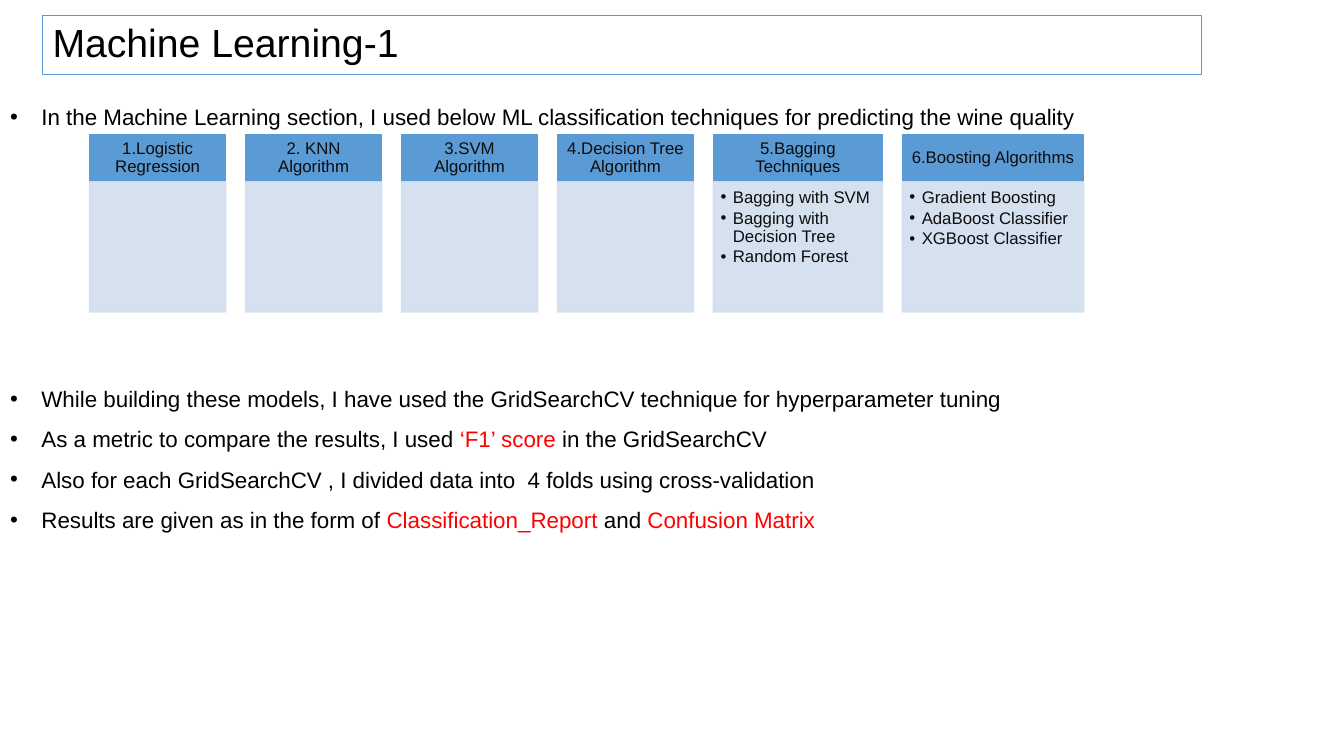
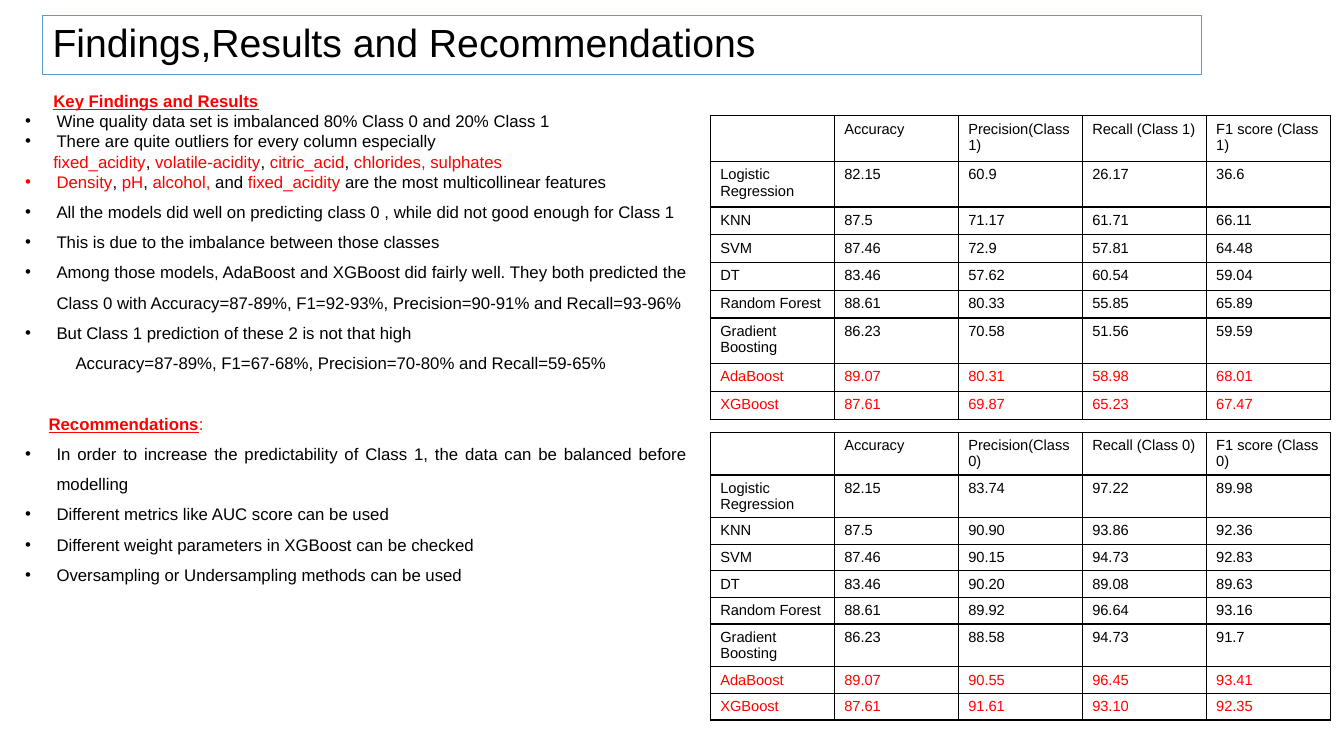
"""Builds two slides on wine-quality classifiers: the methods used, then findings and scores."""
from lxml import etree
from pptx import Presentation
from pptx.dml.color import RGBColor
from pptx.enum.shapes import MSO_SHAPE
from pptx.enum.text import MSO_ANCHOR, MSO_AUTO_SIZE, PP_ALIGN
from pptx.oxml.ns import qn
from pptx.util import Cm, Pt

RECTANGLE = MSO_SHAPE.RECTANGLE
TOP, MIDDLE = MSO_ANCHOR.TOP, MSO_ANCHOR.MIDDLE
LEFT, CENTER, JUSTIFY = PP_ALIGN.LEFT, PP_ALIGN.CENTER, PP_ALIGN.JUSTIFY
FIXED = MSO_AUTO_SIZE.NONE

FONT = "Arial"
COLORS = {"black": "000000", "red": "FF0000", "blue": "5B9BD5", "pale": "D2DEEF", "ink": "0D0D0D"}
TITLE_AREA = (1.07, 0.38, 29.21, 1.5)
HANG = 0.79

LINE_KINDS = {
    "heading": {"margin": 0.71, "bullet": False, "lines": 1, "align": LEFT},
    "tight": {"margin": HANG, "bullet": True, "lines": 1, "align": LEFT},
    "follow": {"margin": 0.71, "bullet": False, "lines": 1, "align": LEFT},
    "item": {"margin": HANG, "bullet": True, "lines": 1.5, "align": JUSTIFY},
    "detail": {"margin": 1.27, "bullet": False, "lines": 1.5, "align": JUSTIFY},
    "section": {"margin": 0.59, "bullet": False, "lines": 1.5, "align": JUSTIFY},
}

METHOD_LINES = [
    ("item", 0, ["In the Machine Learning section, I used below ML classification techniques "
                 "for predicting the wine quality"]),
    ("item", 6, ["While building these models, I have used the GridSearchCV technique "
                 "for hyperparameter tuning"]),
    ("item", 0, ["As a metric to compare the results, I used ", ("‘F1’ score ", "red"),
                 "in the GridSearchCV"]),
    ("item", 0, ["Also for each GridSearchCV , I divided data into  4 folds using cross-validation"]),
    ("item", 0, ["Results are given as in the form of ", ("Classification_Report ", "red"),
                 "and", (" Confusion Matrix", "red")]),
]

CARDS = [
    ("1.Logistic Regression", 3.43, []),
    ("2. KNN Algorithm", 3.43, []),
    ("3.SVM Algorithm", 3.43, []),
    ("4.Decision Tree Algorithm", 3.43, []),
    ("5.Bagging Techniques", 4.26, ["Bagging with SVM", "Bagging with Decision Tree", "Random Forest"]),
    ("6.Boosting Algorithms", 4.57, ["Gradient Boosting", "AdaBoost Classifier", "XGBoost Classifier"]),
]

FINDING_LINES = [
    ("heading", 0, [("Key Findings and Results", "strong")]),
    ("tight", 0, ["Wine quality data set is imbalanced 80% Class 0 and 20% Class 1"]),
    ("tight", 0, ["There are quite outliers for every column especially"]),
    ("follow", 0, [("fixed_acidity", "red"), ", ", ("volatile-acidity", "red"), ", ",
                   ("citric_acid", "red"), ", ", ("chlorides, sulphates", "red")]),
    ("tight", 0, [("Density", "red"), ", ", ("pH", "red"), ", ", ("alcohol,", "red"), " and ",
                  ("fixed_acidity ", "red"), "are the most multicollinear features"]),
    ("item", 0, ["All the models did well on predicting class 0 , while did not good enough for Class 1"]),
    ("item", 0, ["This is due to the imbalance between those classes"]),
    ("item", 0, ["Among those models, AdaBoost and XGBoost did fairly well. They both predicted the "
                 "Class 0 with Accuracy=87-89%, F1=92-93%, Precision=90-91% and Recall=93-96%"]),
    ("item", 0, ["But Class 1 prediction of these 2 is not that high"]),
    ("detail", 0, ["Accuracy=87-89%, F1=67-68%, Precision=70-80% and Recall=59-65%"]),
    ("section", 1, [("Recommendations", "strong"), (":", "red")]),
    ("item", 0, ["In order to increase the predictability of Class 1, the data can be balanced "
                 "before modelling"]),
    ("item", 0, ["Different metrics like AUC score can be used"]),
    ("item", 0, ["Different weight parameters in XGBoost can be checked"]),
    ("item", 0, ["Oversampling or Undersampling methods can be used"]),
]

MODELS = [
    ("Logistic Regression", "82.15"), ("KNN", "87.5"), ("SVM", "87.46"), ("DT", "83.46"),
    ("Random Forest", "88.61"), ("Gradient Boosting", "86.23"), ("AdaBoost", "89.07"), ("XGBoost", "87.61"),
]
BEST_MODELS = {"AdaBoost", "XGBoost"}
TWO_LINE_ROWS = {"", "Logistic Regression", "Gradient Boosting"}
SCORE_TABLES = [
    {"class": 1, "top": 2.92, "row": 0.7, "tall_row": 1.15, "scores": [
        ("60.9", "26.17", "36.6"), ("71.17", "61.71", "66.11"), ("72.9", "57.81", "64.48"),
        ("57.62", "60.54", "59.04"), ("80.33", "55.85", "65.89"), ("70.58", "51.56", "59.59"),
        ("80.31", "58.98", "68.01"), ("69.87", "65.23", "67.47")]},
    {"class": 0, "top": 10.89, "row": 0.67, "tall_row": 1.07, "scores": [
        ("83.74", "97.22", "89.98"), ("90.90", "93.86", "92.36"), ("90.15", "94.73", "92.83"),
        ("90.20", "89.08", "89.63"), ("89.92", "96.64", "93.16"), ("88.58", "94.73", "91.7"),
        ("90.55", "96.45", "93.41"), ("91.61", "93.10", "92.35")]},
]


def rgb(name):
    return RGBColor.from_string(COLORS[name])


def place(shape, left, top, width, height):
    shape.left, shape.top, shape.width, shape.height = Cm(left), Cm(top), Cm(width), Cm(height)


def format_span(span, size, color="black", strong=False):
    span.font.name, span.font.size = FONT, Pt(size)
    span.font.color.rgb = rgb(color)
    span.font.bold = span.font.underline = strong


def set_bullet(para, margin, hang, bullet):
    properties = para._p.get_or_add_pPr()
    properties.set("marL", str(Cm(margin)))
    properties.set("indent", str(-Cm(hang) if bullet else 0))
    if bullet:
        etree.SubElement(properties, qn("a:buFont"), typeface=FONT)
        etree.SubElement(properties, qn("a:buChar"), char="•")
    else:
        etree.SubElement(properties, qn("a:buNone"))


def add_titled_slide(deck, title):
    slide = deck.slides.add_slide(deck.slide_layouts[1])
    shape = slide.shapes.title
    place(shape, *TITLE_AREA)
    shape.line.color.rgb, shape.line.width = rgb("blue"), Pt(0.75)
    frame = shape.text_frame
    frame.text = title
    frame.auto_size, frame.vertical_anchor = FIXED, MIDDLE
    para = frame.paragraphs[0]
    para.alignment, para.line_spacing = LEFT, 0.9
    format_span(para.runs[0], 28)
    return slide


def fill_body(slide, area, lines, size):
    body = slide.placeholders[1]
    place(body, *area)
    frame = body.text_frame
    frame.auto_size, frame.vertical_anchor = FIXED, TOP
    for index, (kind, skipped, parts) in enumerate(lines):
        para = frame.paragraphs[0] if index == 0 else frame.add_paragraph()
        look = LINE_KINDS[kind]
        pitch = size * 1.2 * look["lines"]
        para.alignment, para.line_spacing = look["align"], Pt(pitch)
        para.space_before, para.space_after = Pt(pitch * skipped), Pt(0)
        set_bullet(para, look["margin"], HANG, look["bullet"])
        for part in parts:
            text, style = (part, "black") if isinstance(part, str) else part
            span = para.add_run()
            span.text = text
            strong = style == "strong"
            format_span(span, size, "red" if strong else style, strong)


def add_panel(slide, area, color, lines, anchor, insets):
    panel = slide.shapes.add_shape(RECTANGLE, *map(Cm, area))
    panel.shadow.inherit = False
    panel.fill.solid()
    panel.fill.fore_color.rgb = panel.line.color.rgb = rgb(color)
    panel.line.width = Pt(1)
    frame = panel.text_frame
    frame.word_wrap, frame.vertical_anchor = True, anchor
    frame.margin_left, frame.margin_top, frame.margin_right, frame.margin_bottom = map(Cm, insets)
    frame.text = "\n".join(lines)
    for para in frame.paragraphs:
        para.line_spacing = 0.9
        for span in para.runs:
            format_span(span, 12, "ink")
    return panel


def add_cards(slide):
    left, top, gap, head_height, body_height = 2.26, 3.4, 0.5, 1.18, 3.28
    for heading, width, items in CARDS:
        head = add_panel(slide, (left, top, width, head_height), "blue", [heading],
                         MIDDLE, (0.23, 0.13, 0.23, 0.13))
        head.text_frame.paragraphs[0].alignment = CENTER
        body = add_panel(slide, (left, top + head_height, width, body_height), "pale", items,
                         TOP, (0.18, 0.18, 0.23, 0.25))
        for color in body._element.spPr.iter(qn("a:srgbClr")):
            etree.SubElement(color, qn("a:alpha"), val="90000")
        for para in body.text_frame.paragraphs if items else ():
            para.alignment, para.space_after = LEFT, Pt(1.8)
            set_bullet(para, 0.31, 0.31, True)
        left += width + gap


def set_borders(cell):
    properties = cell._tc.get_or_add_tcPr()
    for position, side in enumerate(("a:lnL", "a:lnR", "a:lnT", "a:lnB")):
        line = etree.Element(qn(side), w=str(Pt(1)))
        fill = etree.SubElement(line, qn("a:solidFill"))
        etree.SubElement(fill, qn("a:srgbClr"), val=COLORS["black"])
        properties.insert(position, line)


def add_score_table(slide, data):
    label = f"(Class {data['class']})"
    rows = [("", "Accuracy", f"Precision{label}", f"Recall {label}", f"F1 score {label}")]
    rows += [model + scores for model, scores in zip(MODELS, data["scores"])]
    heights = [data["tall_row" if row[0] in TWO_LINE_ROWS else "row"] for row in rows]
    frame = slide.shapes.add_table(len(rows), len(rows[0]), Cm(17.9), Cm(data["top"]),
                                   Cm(15.62), Cm(sum(heights)))
    table = frame.table
    table.first_row = table.horz_banding = False
    for row_index, values in enumerate(rows):
        table.rows[row_index].height = Cm(heights[row_index])
        color = "red" if values[0] in BEST_MODELS else "black"
        for column_index, value in enumerate(values):
            cell = table.cell(row_index, column_index)
            cell.fill.background()
            set_borders(cell)
            if value:
                cell.text_frame.text = value
                format_span(cell.text_frame.paragraphs[0].runs[0], 10.5, color)


def main():
    deck = Presentation()
    deck.slide_width, deck.slide_height = Cm(33.87), Cm(19.05)

    methods = add_titled_slide(deck, "Machine Learning-1")
    fill_body(methods, (0, 2.13, 28.27, 14.63), METHOD_LINES, 16)
    add_cards(methods)

    findings = add_titled_slide(deck, "Findings,Results and Recommendations")
    for data in SCORE_TABLES:
        add_score_table(findings, data)
    fill_body(findings, (0.38, 2.16, 17.2, 15.14), FINDING_LINES, 12)

    deck.save("out.pptx")


if __name__ == "__main__":
    main()
